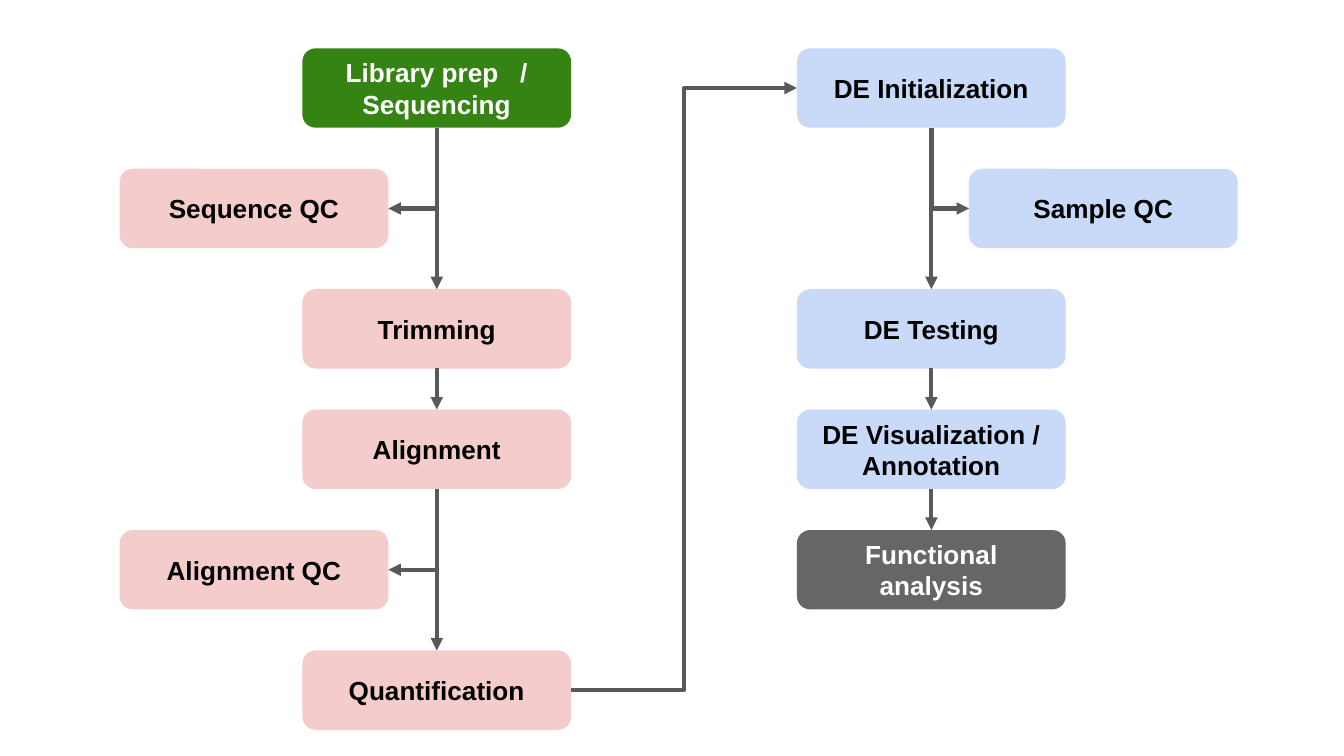
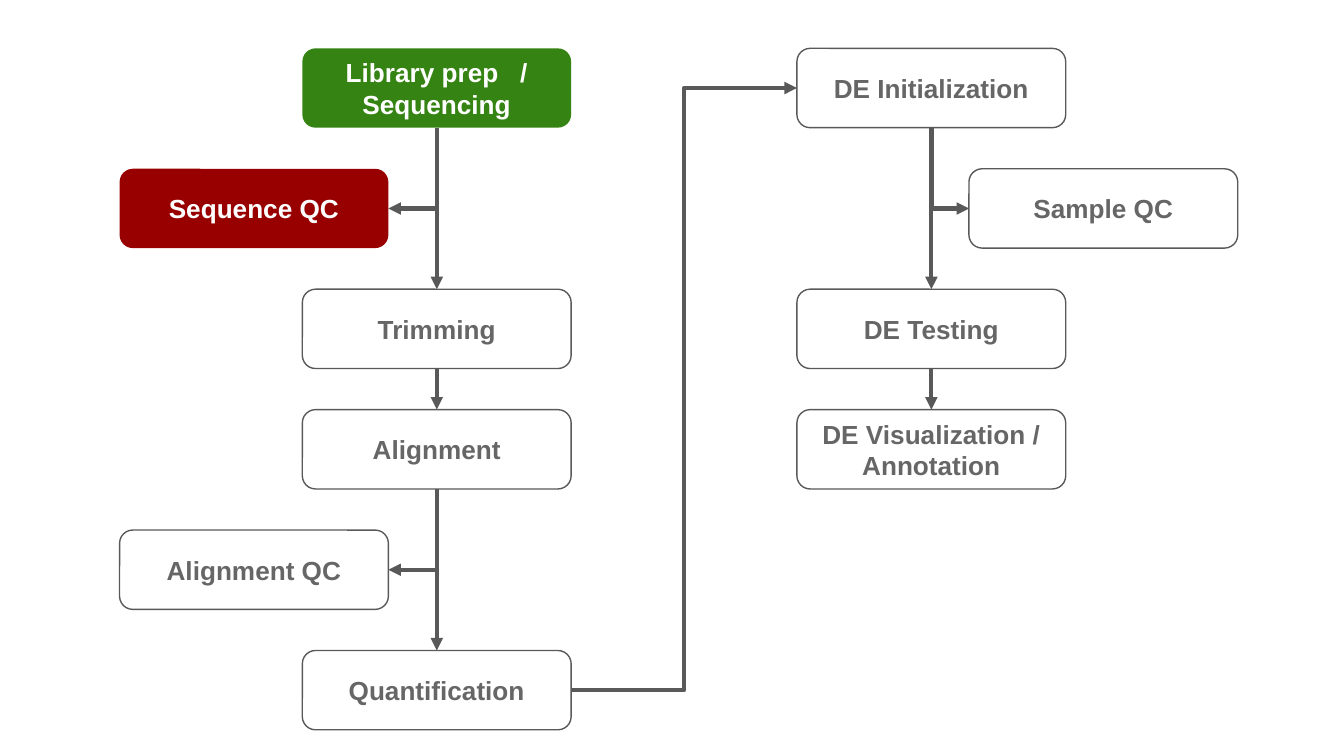
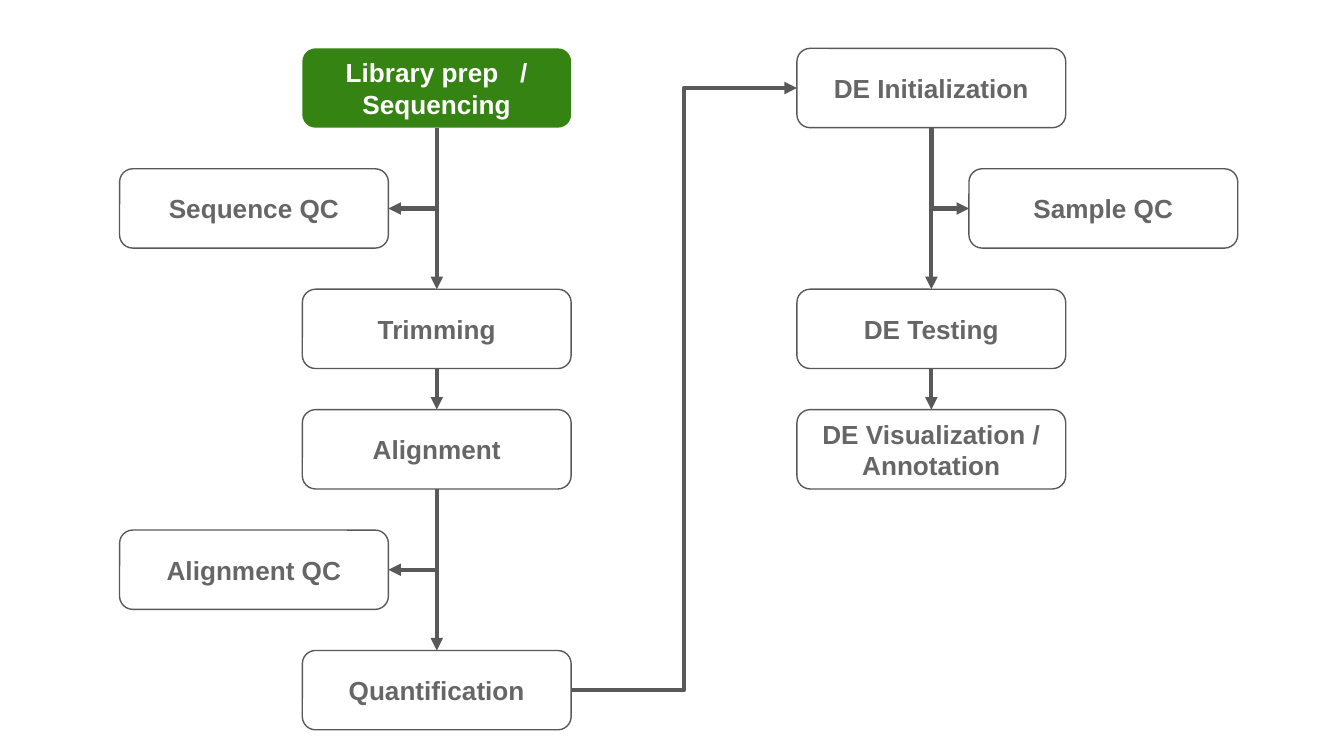
from dataclasses import dataclass

from pptx import Presentation
from pptx.dml.color import RGBColor as Rgb
from pptx.enum.shapes import MSO_CONNECTOR as Link, MSO_SHAPE as Form
from pptx.enum.text import MSO_ANCHOR as Anchor, PP_ALIGN as Align
from pptx.oxml.ns import qn
from pptx.util import Inches, Pt
from lxml.etree import SubElement


@dataclass(frozen=True)
class Theme:
    font: str = "Arial"
    size: int = 14
    edge: float = 0.75
    arrow: float = 2.25
    line: str = "595959"
    # Each tone is a fill and a text colour; no fill means an outlined box
    green: tuple = ("358413", "FFFFFF")
    pink: tuple = ("F4CCCC", "000000")
    blue: tuple = ("C9DAF8", "000000")
    gray: tuple = ("666666", "FFFFFF")
    red: tuple = ("980000", "FFFFFF")
    plain: tuple = (None, "666666")


theme = Theme()

# Grid, in inches
COLS = (0.89, 2.25, 5.93, 7.21)
TOP, LAST = 0.36, 4.84
PITCH = (LAST - TOP) / 5
WIDE, HIGH = 2, 0.59

# Connection sites of a box
UP, LEFT, DOWN, RIGHT = range(4)

# Step: (column, row, tone in the full view)
STEPS = {
    "Library prep   / Sequencing": (1, 0, theme.green),
    "Sequence QC": (0, 1, theme.pink),
    "Trimming": (1, 2, theme.pink),
    "Alignment": (1, 3, theme.pink),
    "Alignment QC": (0, 4, theme.pink),
    "Quantification": (1, 5, theme.pink),
    "DE Initialization": (2, 0, theme.blue),
    "Sample QC": (3, 1, theme.blue),
    "DE Testing": (2, 2, theme.blue),
    "DE Visualization / Annotation": (2, 3, theme.blue),
    "Functional analysis": (2, 4, theme.gray),
}
START, FINAL = "Library prep   / Sequencing", "Functional analysis"

# Arrow: (from, site, to, site)
ARROWS = [
    (START, DOWN, "Trimming", UP),
    (START, DOWN, "Sequence QC", RIGHT),
    ("Trimming", DOWN, "Alignment", UP),
    ("Alignment", DOWN, "Quantification", UP),
    ("Alignment", DOWN, "Alignment QC", RIGHT),
    ("Quantification", RIGHT, "DE Initialization", LEFT),
    ("DE Initialization", DOWN, "DE Testing", UP),
    ("DE Initialization", DOWN, "Sample QC", LEFT),
    ("DE Testing", DOWN, "DE Visualization / Annotation", UP),
    ("DE Visualization / Annotation", DOWN, FINAL, UP),
]

full = {name: tone for name, (col, row, tone) in STEPS.items()}
faint = {name: theme.plain for name in STEPS if name != FINAL}
faint[START] = theme.green
VIEWS = [full, {**faint, "Sequence QC": theme.red}, faint]


def add_box(slide, name, tone):
    col, row, _ = STEPS[name]
    fill, ink = tone
    box = slide.shapes.add_shape(
        Form.ROUNDED_RECTANGLE, Inches(COLS[col]), Inches(TOP + row * PITCH),
        Inches(WIDE), Inches(HIGH))
    box.shadow.inherit = False
    if fill:
        box.fill.solid()
        box.fill.fore_color.rgb = Rgb.from_string(fill)
        box.line.fill.background()
    else:
        box.fill.background()
        box.line.color.rgb = Rgb.from_string(theme.line)
        box.line.width = Pt(theme.edge)
    frame = box.text_frame
    frame.word_wrap = True
    frame.vertical_anchor = Anchor.MIDDLE
    frame.margin_left = frame.margin_right = Inches(0.1)
    frame.margin_top = frame.margin_bottom = Inches(0.1)
    frame.text = name
    para = frame.paragraphs[0]
    para.alignment = Align.CENTER
    para.font.name, para.font.size = theme.font, Pt(theme.size)
    para.font.bold = True
    para.font.color.rgb = Rgb.from_string(ink)
    return box


def add_arrow(slide, tail, out, head, into):
    """Join two boxes; a branch leaves downward and turns once to the side."""
    kind = Link.STRAIGHT if (out, into) == (DOWN, UP) else Link.ELBOW
    link = slide.shapes.add_connector(kind, 0, 0, 0, 0)
    link.begin_connect(tail, out)
    link.end_connect(head, into)
    link.line.color.rgb = Rgb.from_string(theme.line)
    link.line.width = Pt(theme.arrow)
    props = link._element.spPr
    SubElement(link.line._get_or_add_ln(), qn("a:tailEnd"), type="triangle")
    SubElement(props, qn("a:effectLst"))
    if out == DOWN and into != UP:
        # The one-turn elbow starts sideways, so its frame is turned upright
        dx, dy = link.width, link.height
        midx, midy = link.left + dx // 2, link.top + dy // 2
        link.left, link.top = midx - dy // 2, midy - dx // 2
        link.width, link.height = dy, dx
        props.find(qn("a:prstGeom")).set("prst", "bentConnector2")
        frame = props.find(qn("a:xfrm"))
        right = into == LEFT
        frame.set("rot", str((270 if right else 90) * 60000))
        frame.set("flipH", "1" if right else "0")


deck = Presentation()
deck.slide_width = Inches(10)
deck.slide_height = Inches(10 * 9 / 16)

for view in VIEWS:
    slide = deck.slides.add_slide(deck.slide_layouts[6])
    boxes = {name: add_box(slide, name, tone) for name, tone in view.items()}
    for tail, out, head, into in ARROWS:
        if head in boxes:
            add_arrow(slide, boxes[tail], out, boxes[head], into)

deck.save("out.pptx")
